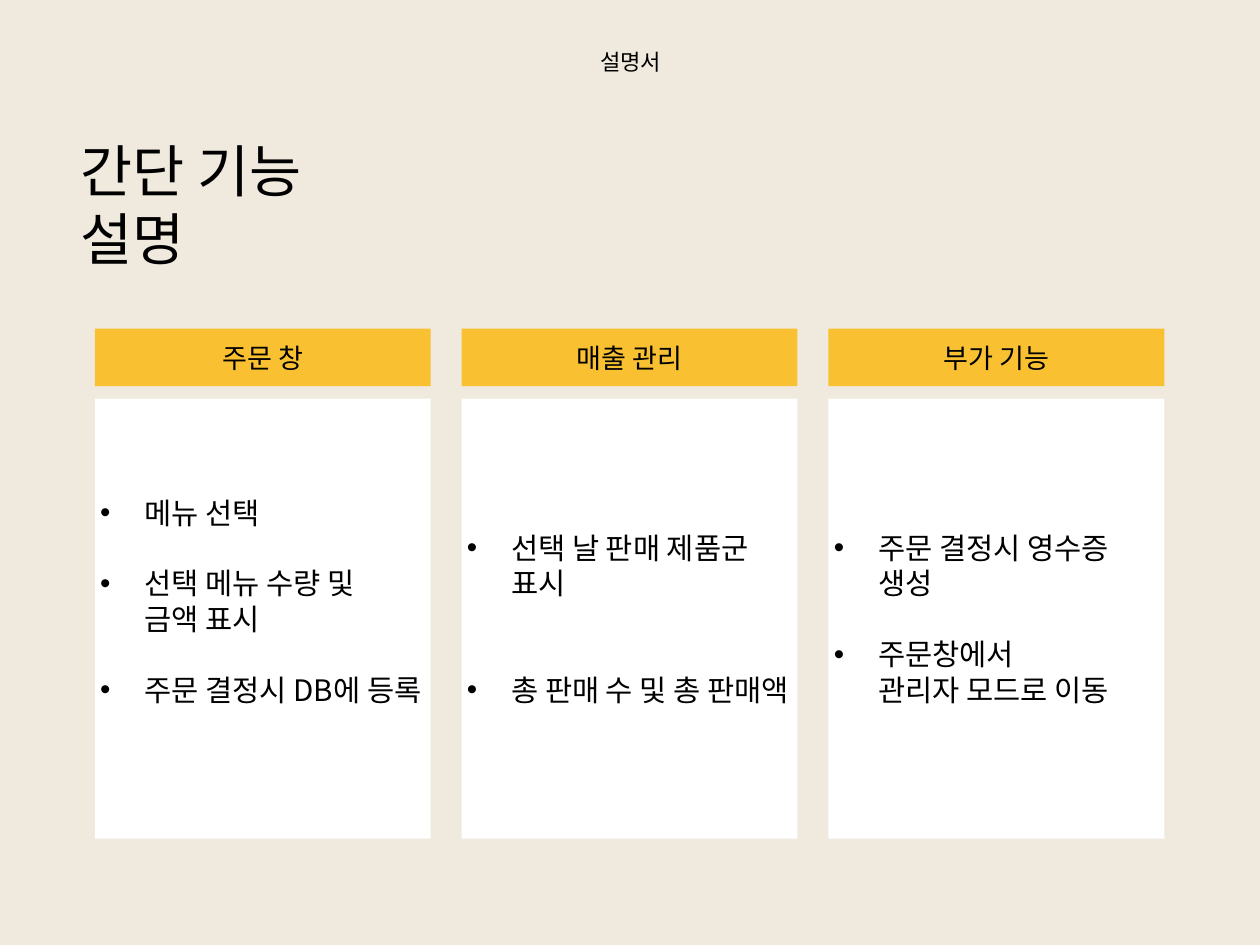
from pptx import Presentation
from pptx.dml.color import RGBColor
from pptx.enum import shapes, text
from pptx.oxml import ns
from pptx.util import Inches, Pt
from lxml import etree

HEADER = "설명서"
TITLE = "간단 기능 설명"
# heading, bullet items, blank lines between items, blank lines below the last
COLUMNS = [
    ("주문 창", ["메뉴 선택", "선택 메뉴 수량 및 \v금액 표시", "주문 결정시 DB에 등록"], 1, 1),
    ("매출 관리", ["선택 날 판매 제품군 표시", "총 판매 수 및 총 판매액"], 2, 0),
    ("부가 기능", ["주문 결정시 영수증 생성", "주문창에서 \v관리자 모드로 이동"], 1, 0),
]
COLORS = {"background": "F0E9DE", "heading": "F9C032", "card": "FFFFFF", "text": "000000"}
FONT = "Noto Sans CJK KR"
LINE_HEIGHT = 1.2
BODY_SIZE = 24
INSET = Inches(0.06)
LEFT, COLUMN_WIDTH, COLUMN_STEP = 1.07, 3.79, 4.14
HEADING_TOP, HEADING_HEIGHT = 3.71, 0.65
CARD_TOP, CARD_HEIGHT = 4.5, 4.97


def color(name):
    return RGBColor.from_string(COLORS[name])


def write(shape, lines, size, align, spacing=None):
    """Fill a shape with one paragraph per line, centred vertically."""
    frame = shape.text_frame
    frame.word_wrap = True
    frame.vertical_anchor = text.MSO_ANCHOR.MIDDLE
    frame.margin_left = frame.margin_right = INSET
    frame.margin_top = frame.margin_bottom = INSET
    frame.text = "\n".join(lines)
    for paragraph in frame.paragraphs:
        paragraph.alignment = align
        paragraph.line_spacing = Pt(size * LINE_HEIGHT)
        for run in paragraph.runs:
            run.font.size = Pt(size)
            run.font.name = FONT
            run.font.color.rgb = color("text")
            properties = run.font._element
            etree.SubElement(properties, ns.qn("a:ea"), typeface=FONT)
            if spacing is not None:
                properties.set("spc", str(round(spacing * 100)))
    return frame


def add_text(slide, left, top, width, height, *style):
    box = slide.shapes.add_textbox(*map(Inches, (left, top, width, height)))
    write(box, *style)


def add_panel(slide, left, top, height, fill):
    panel = slide.shapes.add_shape(
        shapes.MSO_SHAPE.RECTANGLE, *map(Inches, (left, top, COLUMN_WIDTH, height)))
    panel.shadow.inherit = False
    panel.fill.solid()
    panel.fill.fore_color.rgb = color(fill)
    panel.line.fill.background()
    return panel


def add_bullet(paragraph):
    properties = paragraph._p.get_or_add_pPr()
    properties.set("marL", str(Inches(0.5)))
    properties.set("indent", str(-Inches(0.5)))
    etree.SubElement(properties, ns.qn("a:buFont"), typeface="Arial")
    etree.SubElement(properties, ns.qn("a:buChar"), char="•")


def add_column(slide, left, heading, items, gap_lines, bottom_lines):
    heading_panel = add_panel(slide, left, HEADING_TOP, HEADING_HEIGHT, "heading")
    write(heading_panel, [heading], 22, text.PP_ALIGN.CENTER)
    card = add_panel(slide, left, CARD_TOP, CARD_HEIGHT, "card")
    frame = write(card, items, BODY_SIZE, text.PP_ALIGN.LEFT)
    line = Pt(BODY_SIZE * LINE_HEIGHT)
    frame.margin_bottom = INSET + bottom_lines * line
    for paragraph in frame.paragraphs[:-1]:
        paragraph.space_after = gap_lines * line
    for paragraph in frame.paragraphs:
        add_bullet(paragraph)


def main():
    presentation = Presentation()
    presentation.slide_width = Inches(14.22)
    presentation.slide_height = Inches(10.67)
    slide = presentation.slides.add_slide(presentation.slide_layouts[6])
    slide.background.fill.solid()
    slide.background.fill.fore_color.rgb = color("background")
    add_text(slide, 6.34, 0.49, 1.55, 0.42, [HEADER], 18, text.PP_ALIGN.CENTER, -0.4)
    add_text(slide, 0.85, 1.86, 3.56, 0.89, [TITLE], 46, text.PP_ALIGN.LEFT)
    for index, column in enumerate(COLUMNS):
        add_column(slide, LEFT + index * COLUMN_STEP, *column)
    presentation.save("out.pptx")


if __name__ == "__main__":
    main()
